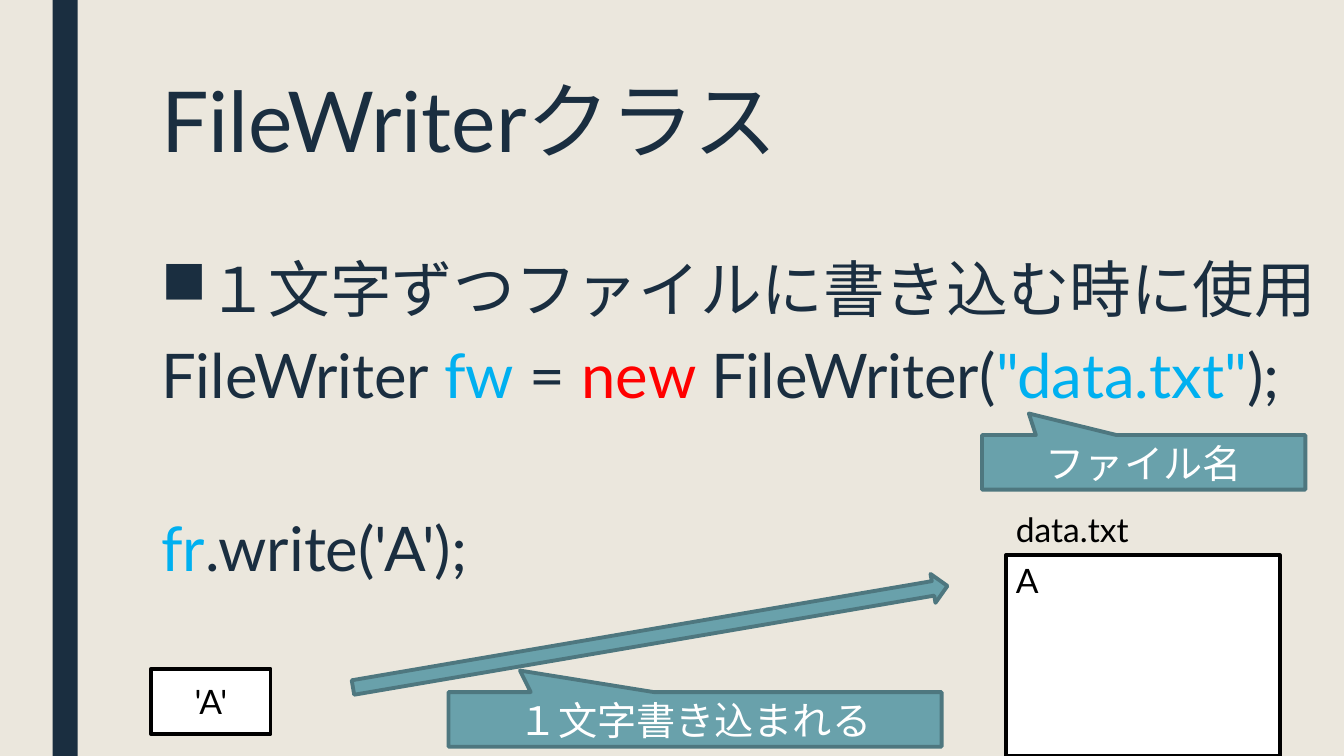
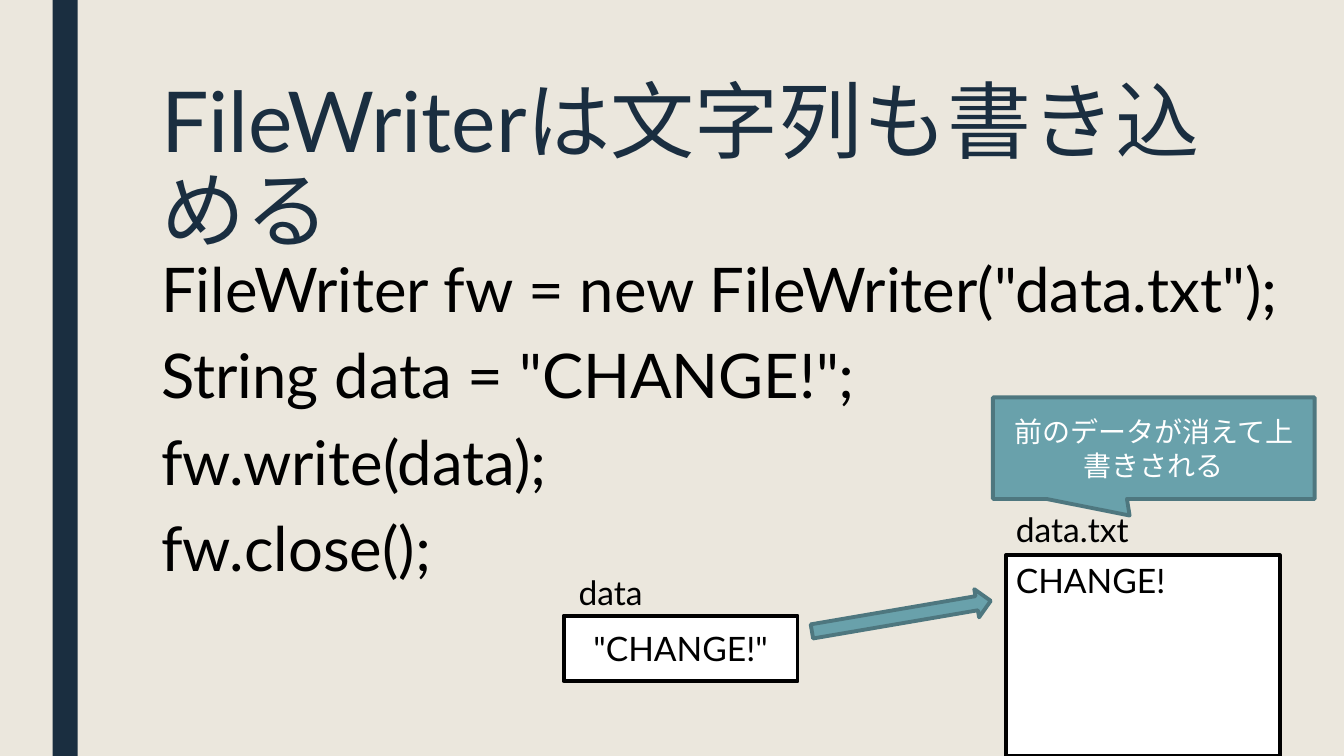
from dataclasses import dataclass

from lxml.etree import SubElement
from pptx import Presentation
from pptx.dml.color import RGBColor
from pptx.enum.shapes import MSO_SHAPE
from pptx.enum.text import MSO_ANCHOR, PP_ALIGN
from pptx.oxml.ns import qn
from pptx.util import Inches, Pt

COLS, ROWS = 160, 90
WIDE, HIGH = Inches(13.33), Inches(7.5)


@dataclass(frozen=True)
class Theme:
    font: str = "Lato"
    back: str = "EBE7DD"
    ink: str = "1A2E40"
    black: str = "000000"
    white: str = "FFFFFF"
    blue: str = "00B0F0"
    red: str = "FF0000"
    teal: str = "69A1AB"
    edge: str = "4E777F"
    line: float = 2.75
    head: int = 60
    code: int = 44
    call: int = 28
    small: int = 24
    note: int = 20


LOOK = Theme()
LEFT = {"alignment": PP_ALIGN.LEFT}
MID = {"alignment": PP_ALIGN.CENTER}
HEAD = {"line_spacing": 0.89}
CODE = {"line_spacing": 0.94, "space_before": Pt(10), "space_after": Pt(2)}
FIRST = {**CODE, "space_before": Pt(0)}
APART = {**CODE, "space_before": Pt(72)}
FILE = (119.75, 66.1, 32.6, 23.9)


def place(col, row, cols, rows):
    return (round(col * WIDE / COLS), round(row * HIGH / ROWS),
            round(cols * WIDE / COLS), round(rows * HIGH / ROWS))


def style(item, form):
    for key, value in form.items():
        setattr(item, key, value)


def paint(fill, tone):
    fill.solid()
    fill.fore_color.rgb = RGBColor.from_string(tone)


def write(para, runs, size, form):
    style(para, form)
    for words, tone in runs:
        run = para.add_run()
        run.text = words
        style(run.font, {"name": LOOK.font, "size": Pt(size)})
        run.font.color.rgb = RGBColor.from_string(tone)


def add_text(slide, spot, lines, size):
    frame = slide.shapes.add_textbox(*place(*spot)).text_frame
    style(frame, {"word_wrap": True, "vertical_anchor": MSO_ANCHOR.TOP})
    for num, (runs, form) in enumerate(lines):
        para = frame.add_paragraph() if num else frame.paragraphs[0]
        write(para, runs, size, form)
    return frame


def add_mark(para):
    props = para._p.get_or_add_pPr()
    indent = Inches(0.42)
    props.set("marL", str(indent))
    props.set("indent", str(-indent))
    SubElement(props, qn("a:buChar")).set("char", "■")


def add_form(slide, kind, spot, fill, edge=None):
    shape = slide.shapes.add_shape(kind, *place(*spot))
    shape.shadow.inherit = False
    paint(shape.fill, fill)
    if edge:
        paint(shape.line.fill, edge)
        shape.line.width = Pt(LOOK.line)
    else:
        shape.line.fill.background()
    return shape


def fill_in(shape, words, size, tone, anchor=MSO_ANCHOR.MIDDLE, form=MID):
    style(shape.text_frame, {"word_wrap": True, "vertical_anchor": anchor})
    write(shape.text_frame.paragraphs[0], [(words, tone)], size, form)


def add_box(slide, spot, words, **format):
    shape = add_form(slide, MSO_SHAPE.RECTANGLE, spot, LOOK.white, LOOK.black)
    fill_in(shape, words, LOOK.small, LOOK.black, **format)


def add_label(slide, col, row, words):
    add_text(slide, (col, row, 17, 6), [([(words, LOOK.black)], LEFT)],
             LOOK.small)


def add_file(slide, words):
    add_box(slide, FILE, words, anchor=MSO_ANCHOR.TOP, form=LEFT)
    add_label(slide, FILE[0], 60, "data.txt")


def add_arrow(slide, spot):
    shape = add_form(slide, MSO_SHAPE.LEFT_ARROW, spot, LOOK.teal, LOOK.edge)
    shape.rotation = 170.3


def add_call(slide, spot, words, size=LOOK.call, tip=(-0.355, -0.895)):
    shape = add_form(slide, MSO_SHAPE.RECTANGULAR_CALLOUT, spot,
                     LOOK.teal, LOOK.edge)
    for num, value in enumerate(tip):
        shape.adjustments[num] = value
    fill_in(shape, words, size, LOOK.white)


def add_page(deck, title, lines):
    slide = deck.slides.add_slide(deck.slide_layouts[6])
    paint(slide.background.fill, LOOK.back)
    add_form(slide, MSO_SHAPE.RECTANGLE, (6.25, 0, 3, ROWS), LOOK.ink)
    add_text(slide, (18, 9, 126, 19.5), [([(title, LOOK.ink)], HEAD)],
             LOOK.head)
    return slide, add_text(slide, (18, 30, 142, 47), lines, LOOK.code)


def add_class(deck):
    ink, blue = LOOK.ink, LOOK.blue
    slide, body = add_page(deck, "FileWriterクラス", [
        ([("１文字ずつファイルに書き込む時に使用", ink)], FIRST),
        ([("FileWriter ", ink), ("fw", blue), (" = ", ink),
          ("new ", LOOK.red), ("FileWriter(", ink),
          ('"data.txt"', blue), (");", ink)], CODE),
        ([("fr", blue), (".write('A');", ink)], APART),
    ])
    add_mark(body.paragraphs[0])
    add_call(slide, (116.9, 51.8, 38.5, 6.5), "ファイル名")
    add_file(slide, "A")
    add_box(slide, (18, 79.6, 14.2, 7.8), "'A'")
    add_arrow(slide, (41.5, 74.05, 71.8, 3.5))
    add_call(slide, (53.4, 82.4, 58.7, 6.5), "１文字書き込まれる")


def add_string(deck):
    code = ('FileWriter fw = new FileWriter("data.txt");',
            'String data = "CHANGE!";', "fw.write(data);", "fw.close();")
    slide, _ = add_page(deck, "FileWriterは文字列も書き込める", [
        ([(words, LOOK.black)], CODE if num else FIRST)
        for num, words in enumerate(code)])
    add_file(slide, "CHANGE!")
    add_box(slide, (67.1, 73.3, 27.85, 7.8), '"CHANGE!"')
    add_label(slide, 67.7, 67.45, "data")
    add_arrow(slide, (96.5, 71.65, 21.6, 3.4))
    add_call(slide, (118.2, 47.3, 38.3, 12.1),
             "前のデータが消えて上書きされる", LOOK.note, (-0.075, 0.663))


def main():
    deck = Presentation()
    style(deck, {"slide_width": WIDE, "slide_height": HIGH})
    add_class(deck)
    add_string(deck)
    deck.save("out.pptx")


if __name__ == "__main__":
    main()
